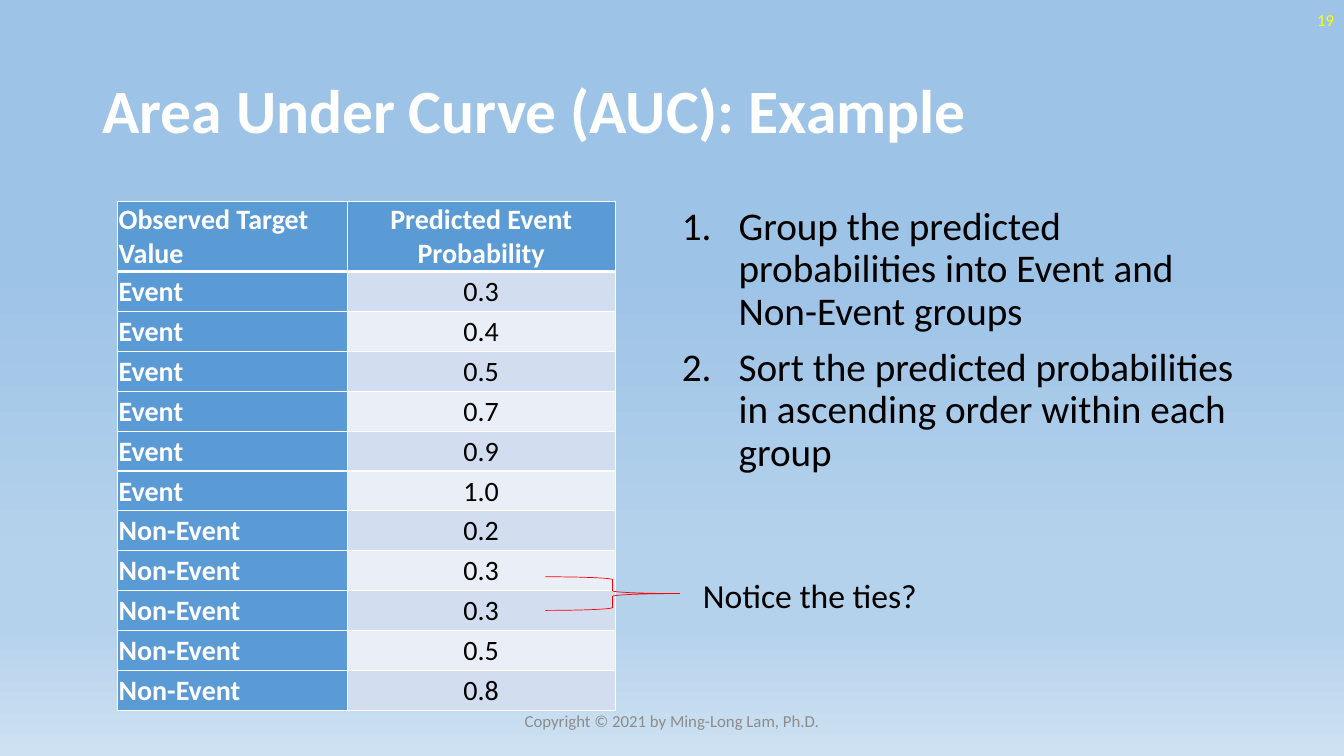
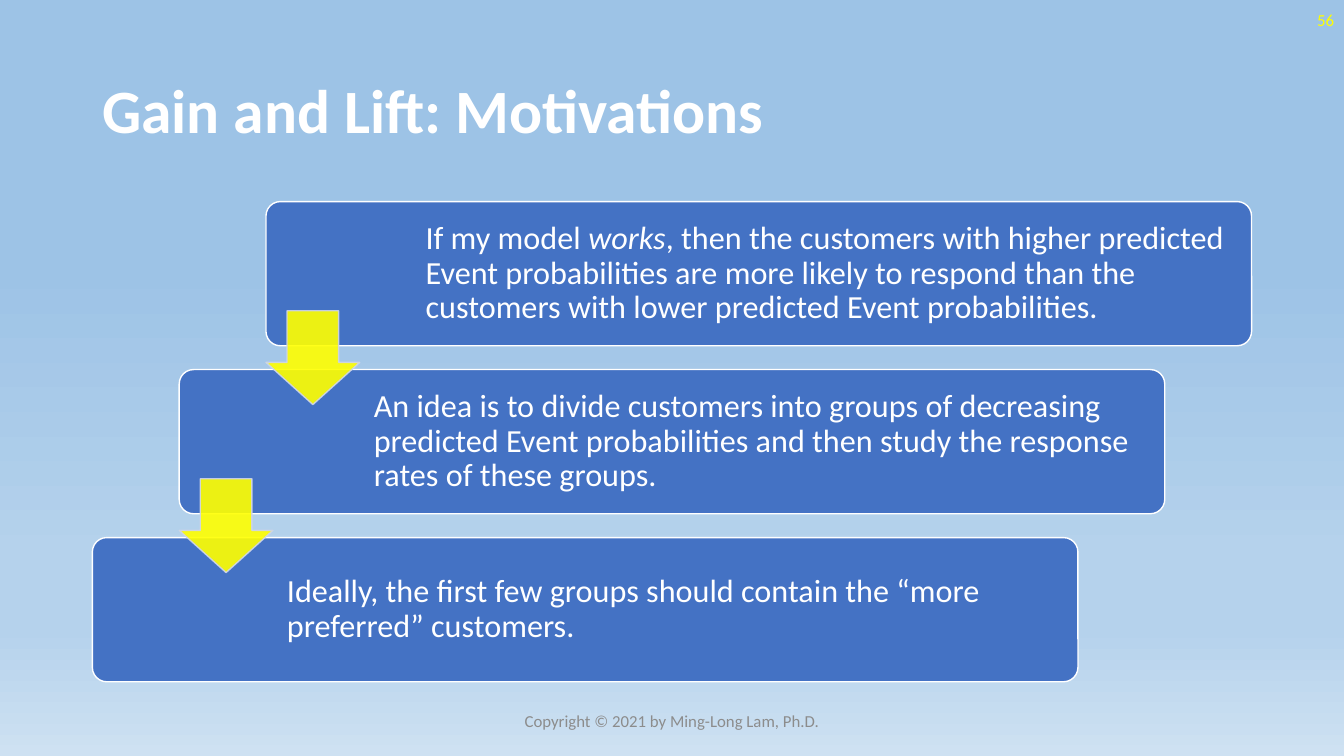
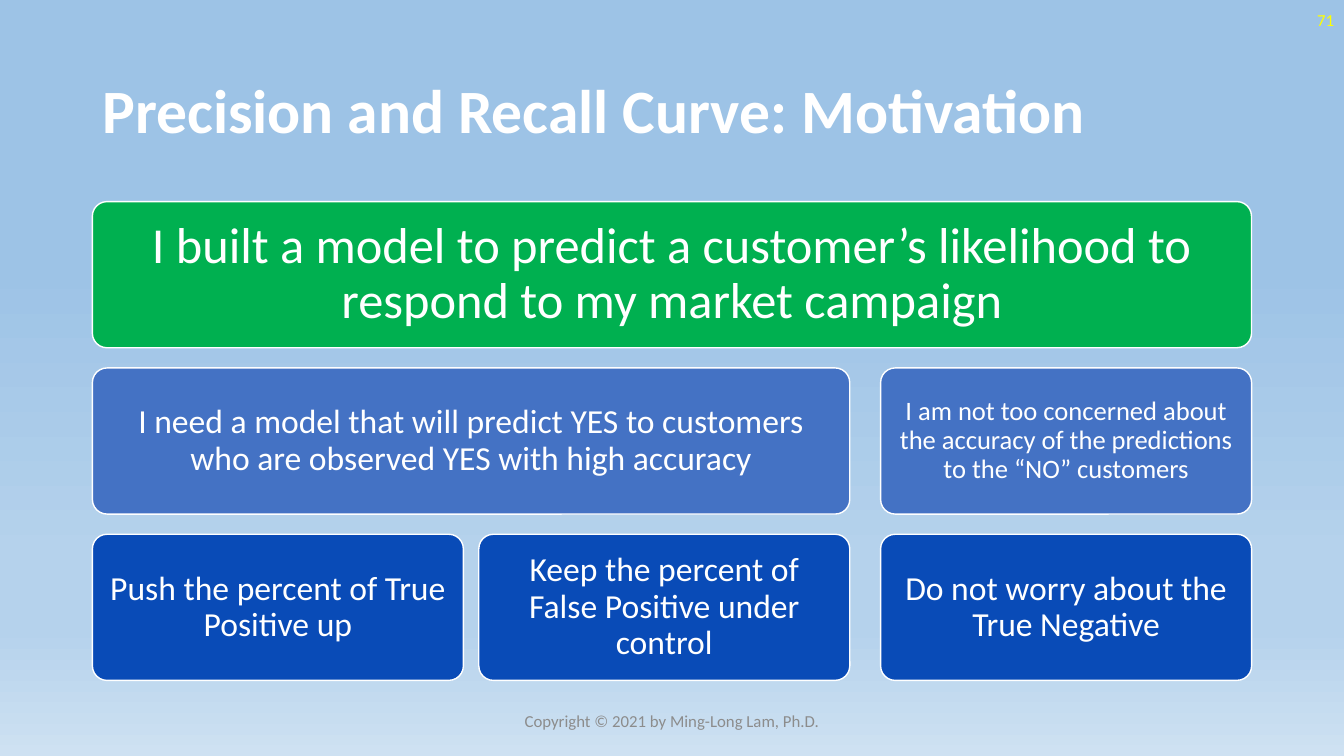
"""Build three slides on model evaluation: AUC, gain and lift, precision and recall."""
from copy import deepcopy

from lxml import etree
from pptx import Presentation
from pptx.dml.color import RGBColor
from pptx.enum.shapes import MSO_SHAPE
from pptx.enum.text import MSO_ANCHOR, PP_ALIGN
from pptx.oxml.ns import qn
from pptx.util import Pt

LEFT, CENTER, RIGHT = PP_ALIGN.LEFT, PP_ALIGN.CENTER, PP_ALIGN.RIGHT
TOP, MIDDLE = MSO_ANCHOR.TOP, MSO_ANCHOR.MIDDLE
ROUNDED = MSO_SHAPE.ROUNDED_RECTANGLE
DOWN_ARROW = MSO_SHAPE.DOWN_ARROW
RIGHT_BRACE = MSO_SHAPE.RIGHT_BRACE

FONT = "Calibri"
COLORS = {
    "white": "FFFFFF", "black": "000000", "footer": "8C8C8C", "yellow": "FFFF00",
    "red": "FF0000", "green": "00B050", "blue": "4472C4", "deep": "094BB7",
    "header": "5B9BD5", "band_dark": "D2DEEF", "band_light": "EAEFF7",
    "arrow_line": "CFD5EA", "sky": "9DC3E6", "haze": "B5D2EC", "horizon": "CEE1F2",
}
BACKGROUND = [(0.35, "sky"), (0.74, "haze"), (0.83, "haze"), (1, "horizon")]
FOOTER = "Copyright © 2021 by Ming-Long Lam, Ph.D."

MARGIN, CONTENT_WIDTH, CONTENT_TOP = 66, 828, 144

OBSERVATIONS = (
    [("Event", value) for value in ("0.3", "0.4", "0.5", "0.7", "0.9", "1.0")]
    + [("Non-Event", value) for value in ("0.2", "0.3", "0.3", "0.5", "0.8")]
)
STEPS = [
    "Group the predicted probabilities into Event and Non-Event groups",
    "Sort the predicted probabilities in ascending order within each group",
]
MOTIVATIONS = [
    (["If my model ", "works", ", then the customers with higher predicted Event "
      "probabilities are more likely to respond than the customers with lower "
      "predicted Event probabilities."], 111),
    (["An idea is to divide customers into groups of decreasing predicted Event "
      "probabilities and then study the response rates of these groups."], 136),
    (["Ideally, the first few groups should contain the “more preferred” customers."], 136),
]


def color(name):
    return RGBColor.from_string(COLORS[name])


def set_background(master):
    fill = master.background.fill
    fill.gradient()
    fill.gradient_angle = 270
    stop_list = master.element.xpath(".//p:bg//a:gsLst")[0]
    while len(stop_list) < len(BACKGROUND):
        stop_list.append(deepcopy(stop_list[0]))
    for stop, (position, name) in zip(fill.gradient_stops, BACKGROUND):
        stop.position = position
        stop.color.rgb = color(name)


def style_paragraph(paragraph, size, color_name, align=LEFT, bold=False, spacing=None):
    paragraph.alignment = align
    if spacing:
        paragraph.line_spacing = spacing
    font = paragraph.font
    font.name, font.size, font.bold = FONT, Pt(size), bold
    font.color.rgb = color(color_name)


def add_text(slide, box, text, size, color_name, anchor=MIDDLE, **style):
    shape = slide.shapes.add_textbox(*map(Pt, box))
    frame = shape.text_frame
    frame.word_wrap = True
    frame.vertical_anchor = anchor
    frame.text = text
    style_paragraph(frame.paragraphs[0], size, color_name, **style)


def add_numbered_list(slide, box, items, size):
    frame = slide.shapes.add_textbox(*map(Pt, box)).text_frame
    frame.word_wrap = True
    frame.text = "\n".join(items)
    for index, paragraph in enumerate(frame.paragraphs):
        properties = paragraph._p.get_or_add_pPr()
        properties.set("marL", str(Pt(40.5)))
        properties.set("indent", str(-Pt(40.5)))
        etree.SubElement(properties, qn("a:buAutoNum"), type="arabicPeriod")
        if index:
            paragraph.space_before = Pt(10)
        style_paragraph(paragraph, size, "black", spacing=0.9)


def add_shape(slide, kind, box, fill, line, line_width=1, adjustments=()):
    shape = slide.shapes.add_shape(kind, *map(Pt, box))
    shape.shadow.inherit = False
    for index, value in enumerate(adjustments):
        shape.adjustments[index] = value
    if fill:
        shape.fill.solid()
        shape.fill.fore_color.rgb = color(fill)
    else:
        shape.fill.background()
    shape.line.color.rgb = color(line)
    shape.line.width = Pt(line_width)
    return shape


def add_card(slide, box, runs, size, fill, margins, align=CENTER):
    """Draw a rounded card; the second of its runs, if any, is italic."""
    card = add_shape(slide, ROUNDED, box, fill, "white", adjustments=[0.1])
    frame = card.text_frame
    frame.word_wrap = True
    frame.vertical_anchor = MIDDLE
    frame.margin_left, frame.margin_top, frame.margin_right, frame.margin_bottom = map(Pt, margins)
    paragraph = frame.paragraphs[0]
    for index, text in enumerate(runs):
        run = paragraph.add_run()
        run.text = text
        if index == 1:
            run.font.italic = True
    style_paragraph(paragraph, size, "white", align=align, spacing=0.9)


def add_arrow(slide, box):
    arrow = add_shape(slide, DOWN_ARROW, box, "yellow", "arrow_line", adjustments=[0.55, 0.45])
    for paint in arrow._element.spPr.iter(qn("a:srgbClr")):
        etree.SubElement(paint, qn("a:alpha"), val="90000")


def set_borders(cell, widths):
    properties = cell._tc.get_or_add_tcPr()
    for index, (side, width) in enumerate(zip("LRTB", widths)):
        border = etree.Element(qn(f"a:ln{side}"), w=str(Pt(width)))
        fill = etree.SubElement(border, qn("a:solidFill"))
        etree.SubElement(fill, qn("a:srgbClr"), val=COLORS["white"])
        properties.insert(index, border)


def add_table(slide, left, top, widths, header_height, row_height, rows):
    height = header_height + row_height * (len(rows) - 1)
    table = slide.shapes.add_table(
        len(rows), len(widths), Pt(left), Pt(top), Pt(sum(widths)), Pt(height)).table
    table.horz_banding = False
    for column, width in zip(table.columns, widths):
        column.width = Pt(width)
    for row_index, texts in enumerate(rows):
        table.rows[row_index].height = Pt(row_height if row_index else header_height)
        for column_index, text in enumerate(texts):
            cell = table.cell(row_index, column_index)
            heading = row_index == 0 or column_index == 0
            band = "band_dark" if row_index % 2 else "band_light"
            cell.fill.solid()
            cell.fill.fore_color.rgb = color("header" if heading else band)
            set_borders(cell, (1, 1, 3 if row_index == 1 else 1, 3 if row_index == 0 else 1))
            cell.margin_left = cell.margin_top = cell.margin_right = Pt(0.75)
            cell.margin_bottom = 0
            cell.vertical_anchor = MIDDLE
            cell.text = text
            style_paragraph(cell.text_frame.paragraphs[0], 20, "white" if heading else "black",
                            align=CENTER if column_index else LEFT, bold=heading)


def add_slide(presentation, title, number):
    slide = presentation.slides.add_slide(presentation.slide_layouts[6])
    add_text(slide, (MARGIN, 28.8, CONTENT_WIDTH, 104.4), title, 44, "white",
             bold=True, spacing=0.9)
    add_text(slide, (744, 0, 216, 28.8), number, 12, "yellow", align=RIGHT)
    add_text(slide, (318, 500.4, 324, 28.8), FOOTER, 12, "footer", align=CENTER)
    return slide


def build_auc_example(presentation):
    slide = add_slide(presentation, "Area Under Curve (AUC): Example", "19")
    header = ("Observed Target Value", "Predicted Event Probability")
    add_table(slide, 84, CONTENT_TOP, (164, 191.5), 50, 28.5, [header, *OBSERVATIONS])
    add_numbered_list(slide, (480, CONTENT_TOP, 414, 342.72), STEPS, 28)
    add_shape(slide, RIGHT_BRACE, (389.5, 412, 96, 24), None, "red", 0.5)
    add_text(slide, (495, 407, 207, 36), "Notice the ties?", 24, "black", anchor=TOP)


def build_gain_and_lift(presentation):
    slide = add_slide(presentation, "Gain and Lift: Motivations", "56")
    pitch, shift = 120, 62
    last = len(MOTIVATIONS) - 1
    corners = [(MARGIN + shift * (last - index), CONTENT_TOP + pitch * index)
               for index in range(last + 1)]
    for (left, top), (runs, indent) in zip(corners, MOTIVATIONS):
        add_card(slide, (left, top, 704, 103), runs, 23, "blue", (indent, 7.2, 7.8, 7.2), LEFT)
    for left, top in corners[:last]:
        add_arrow(slide, (left, top + 78, 67, 67))


def build_precision_and_recall(presentation):
    slide = add_slide(presentation, "Precision and Recall Curve: Motivation", "71")
    width, height, pitch = 265, 104.4, 118.8
    second, third = MARGIN + width + 11, MARGIN + CONTENT_WIDTH - width
    pair_width = second + width - MARGIN
    cards = [
        (0, MARGIN, CONTENT_WIDTH, 36, "green", 10.8,
         "I built a model to predict a customer’s likelihood to respond to my market campaign"),
        (1, MARGIN, pair_width, 24, "blue", 7.2,
         "I need a model that will predict YES to customers who are observed YES with high accuracy"),
        (2, MARGIN, width, 24, "deep", 7.2, "Push the percent of True Positive up"),
        (2, second, width, 24, "deep", 7.2, "Keep the percent of False Positive under control"),
        (1, third, width, 19, "blue", 5.8,
         "I am not too concerned about the accuracy of the predictions to the “NO” customers"),
        (2, third, width, 24, "deep", 7.2, "Do not worry about the True Negative"),
    ]
    for row, left, card_width, size, fill, margin, text in cards:
        box = (left, CONTENT_TOP + pitch * row, card_width, height)
        add_card(slide, box, [text], size, fill, [margin] * 4)


def main():
    presentation = Presentation()
    presentation.slide_width, presentation.slide_height = Pt(960), Pt(540)
    set_background(presentation.slide_master)
    build_auc_example(presentation)
    build_gain_and_lift(presentation)
    build_precision_and_recall(presentation)
    presentation.save("out.pptx")


if __name__ == "__main__":
    main()
